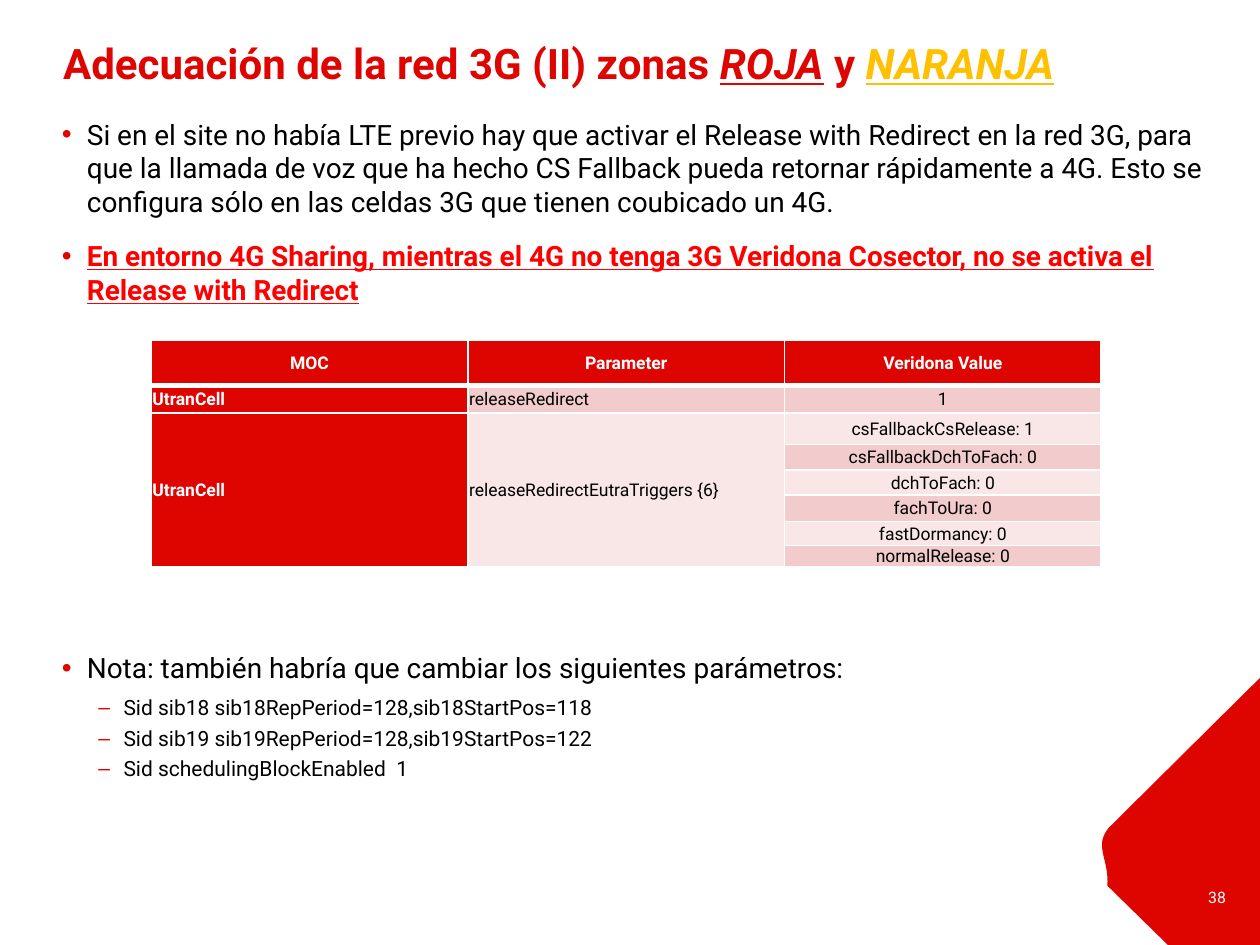
from dataclasses import dataclass

from lxml import etree
from pptx import Presentation
from pptx.dml.color import RGBColor
from pptx.enum import text as t
from pptx.oxml.ns import qn
from pptx.util import Inches, Pt

RED = RGBColor(0xDE, 0x04, 0x00)
ALERT = RGBColor(0xFF, 0x00, 0x00)
ORANGE = RGBColor(0xFF, 0xC0, 0x00)
WHITE = RGBColor(0xFF, 0xFF, 0xFF)
BLACK = RGBColor(0x00, 0x00, 0x00)
PINK = RGBColor(0xF2, 0xCC, 0xCC)
PALE = RGBColor(0xF9, 0xE7, 0xE7)
FONT = "Roboto"
LEFT, CENTER, RIGHT = t.PP_ALIGN.LEFT, t.PP_ALIGN.CENTER, t.PP_ALIGN.RIGHT


@dataclass
class Bullet:
    text: str
    level: int = 0
    before: float = 6
    color: RGBColor = BLACK
    strong: bool = False


@dataclass
class Cell:
    row: int
    col: int
    text: str
    fill: RGBColor
    align: t.PP_ALIGN = CENTER
    rows: int = 1


BULLETS = [
    Bullet("Si en el site no había LTE previo hay que activar el Release with Redirect "
           "en la red 3G, para que la llamada de voz que ha hecho CS Fallback pueda "
           "retornar rápidamente a 4G. Esto se configura sólo en las celdas 3G que "
           "tienen coubicado un 4G."),
    Bullet("En entorno 4G Sharing, mientras el 4G no tenga 3G Veridona Cosector, "
           "no se activa el Release with Redirect", color=ALERT, strong=True),
    Bullet("Nota: también habría que cambiar los siguientes parámetros:", before=191),
    Bullet("Sid sib18 sib18RepPeriod=128,sib18StartPos=118", 1, 0),
    Bullet("Sid sib19 sib19RepPeriod=128,sib19StartPos=122", 1, 0),
    Bullet("Sid schedulingBlockEnabled  1", 1, 0),
]
HEADERS = ["MOC", "Parameter", "Veridona Value"]
TRIGGERS = ["csFallbackCsRelease: 1", "csFallbackDchToFach: 0", "dchToFach: 0",
            "fachToUra: 0", "fastDormancy: 0", "normalRelease: 0"]
ROW_HEIGHTS = [0.36, 0.22, 0.25, 0.2, 0.2, 0.21, 0.19, 0.17]


def add_run(p, text: str, *, size: float, color: RGBColor, bold=False,
            italic=False, underline=False) -> None:
    r = p.add_run()
    r.text = text
    f = r.font
    f.name, f.size, f.bold = FONT, Pt(size), bold
    f.italic, f.underline = italic, underline
    f.color.rgb = color


def set_frame(tf, margins: tuple, anchor=t.MSO_ANCHOR.TOP) -> None:
    tf.word_wrap = True
    tf.auto_size = t.MSO_AUTO_SIZE.NONE
    tf.vertical_anchor = anchor
    (tf.margin_left, tf.margin_top,
     tf.margin_right, tf.margin_bottom) = map(Inches, margins)


def add_text_box(s, box: tuple, margins: tuple, anchor=t.MSO_ANCHOR.TOP):
    tf = s.shapes.add_textbox(*map(Inches, box)).text_frame
    set_frame(tf, margins, anchor)
    return tf


def set_bullet(p, char: str, indent: float) -> None:
    pPr = p._p.get_or_add_pPr()
    pPr.set("marL", str(Inches(indent)))
    pPr.set("indent", str(Inches(-0.2)))
    clr = etree.SubElement(pPr, qn("a:buClr"))
    etree.SubElement(clr, qn("a:srgbClr"), val=str(RED))
    etree.SubElement(pPr, qn("a:buFont"), typeface="Arial")
    etree.SubElement(pPr, qn("a:buChar"), char=char)


def add_title(s) -> None:
    sp = s.shapes.title
    sp.left, sp.top, sp.width, sp.height = map(Inches, (0.5, 0.3, 9.27, 1.14))
    set_frame(sp.text_frame, (0, 0, 0, 0))
    p = sp.text_frame.paragraphs[0]
    p.alignment = LEFT
    for text, color, marked in [("Adecuación de la red 3G (II) zonas ", RED, False),
                                ("ROJA", RED, True), (" y ", RED, False),
                                ("NARANJA", ORANGE, True)]:
        add_run(p, text, size=24, color=color, bold=True, italic=marked, underline=marked)


def add_bullets(s) -> None:
    tf = add_text_box(s, (0.49, 0.93, 9.18, 5.35), (0, 0, 0.08, 0))
    for i, b in enumerate(BULLETS):
        p = tf.add_paragraph() if i else tf.paragraphs[0]
        p.level = b.level
        p.space_before = Pt(b.before)
        p.space_after = Pt(3 if b.level else 6)
        set_bullet(p, "•–"[b.level], (0.2, 0.49)[b.level])
        add_run(p, b.text, size=(16, 12)[b.level], color=b.color,
                bold=b.strong, underline=b.strong)


def set_borders(cell, bottom: float) -> None:
    tcPr = cell._tc.get_or_add_tcPr()
    for side, width in zip("LRTB", (1, 1, 1, bottom)):
        ln = etree.SubElement(tcPr, qn(f"a:ln{side}"), w=str(Pt(width)))
        fill = etree.SubElement(ln, qn("a:solidFill"))
        etree.SubElement(fill, qn("a:srgbClr"), val=str(WHITE))


def fill_cell(table, c: Cell) -> None:
    cell = table.cell(c.row, c.col)
    if c.rows > 1:
        cell.merge(table.cell(c.row + c.rows - 1, c.col))
    cell.vertical_anchor = t.MSO_ANCHOR.MIDDLE
    cell.margin_left = cell.margin_top = cell.margin_right = Inches(0.01)
    cell.margin_bottom = 0
    cell.fill.solid()
    cell.fill.fore_color.rgb = c.fill
    p = cell.text_frame.paragraphs[0]
    p.alignment = c.align
    dark = c.fill == RED
    add_run(p, c.text, size=10, color=WHITE if dark else BLACK, bold=dark)


def add_parameter_table(s) -> None:
    table = s.shapes.add_table(len(ROW_HEIGHTS), len(HEADERS), Inches(1.2), Inches(2.7),
                               Inches(7.54), Inches(sum(ROW_HEIGHTS))).table
    for row, height in zip(table.rows, ROW_HEIGHTS):
        row.height = Inches(height)
    for r in range(len(ROW_HEIGHTS)):
        for c in range(len(HEADERS)):
            set_borders(table.cell(r, c), 1 if r else 3)
    cells = [Cell(0, i, h, RED) for i, h in enumerate(HEADERS)]
    cells += [
        Cell(1, 0, "UtranCell", RED, LEFT),
        Cell(1, 1, "releaseRedirect", PINK, LEFT),
        Cell(1, 2, "1", PINK),
        Cell(2, 0, "UtranCell", RED, LEFT, len(TRIGGERS)),
        Cell(2, 1, "releaseRedirectEutraTriggers {6}", PALE, LEFT, len(TRIGGERS)),
    ]
    cells += [Cell(2 + i, 2, name, (PALE, PINK)[i % 2]) for i, name in enumerate(TRIGGERS)]
    for c in cells:
        fill_cell(table, c)


def curve(*controls: tuple, steps: int = 16) -> list:
    """Points along a cubic Bezier curve, without its start."""
    points = []
    for k in range(1, steps + 1):
        a = k / steps
        weights = ((1 - a) ** 3, 3 * a * (1 - a) ** 2, 3 * a * a * (1 - a), a ** 3)
        points.append(tuple(sum(w * c[i] for w, c in zip(weights, controls))
                            for i in (0, 1)))
    return points


def add_corner(s) -> None:
    outline = [(10, 7.5), (9.27, 7.5), (8.79, 7.03)]
    outline += curve((8.79, 7.03), (8.8, 6.8), (8.68, 6.72), (8.8, 6.57))
    fb = s.shapes.build_freeform(Inches(10), Inches(5.38))
    fb.add_line_segments([(Inches(x), Inches(y)) for x, y in outline], close=True)
    sp = fb.convert_to_shape()
    sp.shadow.inherit = False
    sp.fill.solid()
    sp.fill.fore_color.rgb = RED
    sp.line.fill.background()


def add_page_number(s) -> None:
    tf = add_text_box(s, (8.67, 6.92, 1.06, 0.4), (0.1, 0.05, 0, 0.05), t.MSO_ANCHOR.MIDDLE)
    p = tf.paragraphs[0]
    p.alignment = RIGHT
    add_run(p, "38", size=9, color=WHITE)


def main() -> None:
    prs = Presentation()
    prs.slide_width, prs.slide_height = Inches(10), Inches(7.5)
    s = prs.slides.add_slide(prs.slide_layouts[5])
    add_corner(s)
    add_title(s)
    add_bullets(s)
    add_page_number(s)
    add_parameter_table(s)
    prs.save("out.pptx")


if __name__ == "__main__":
    main()
